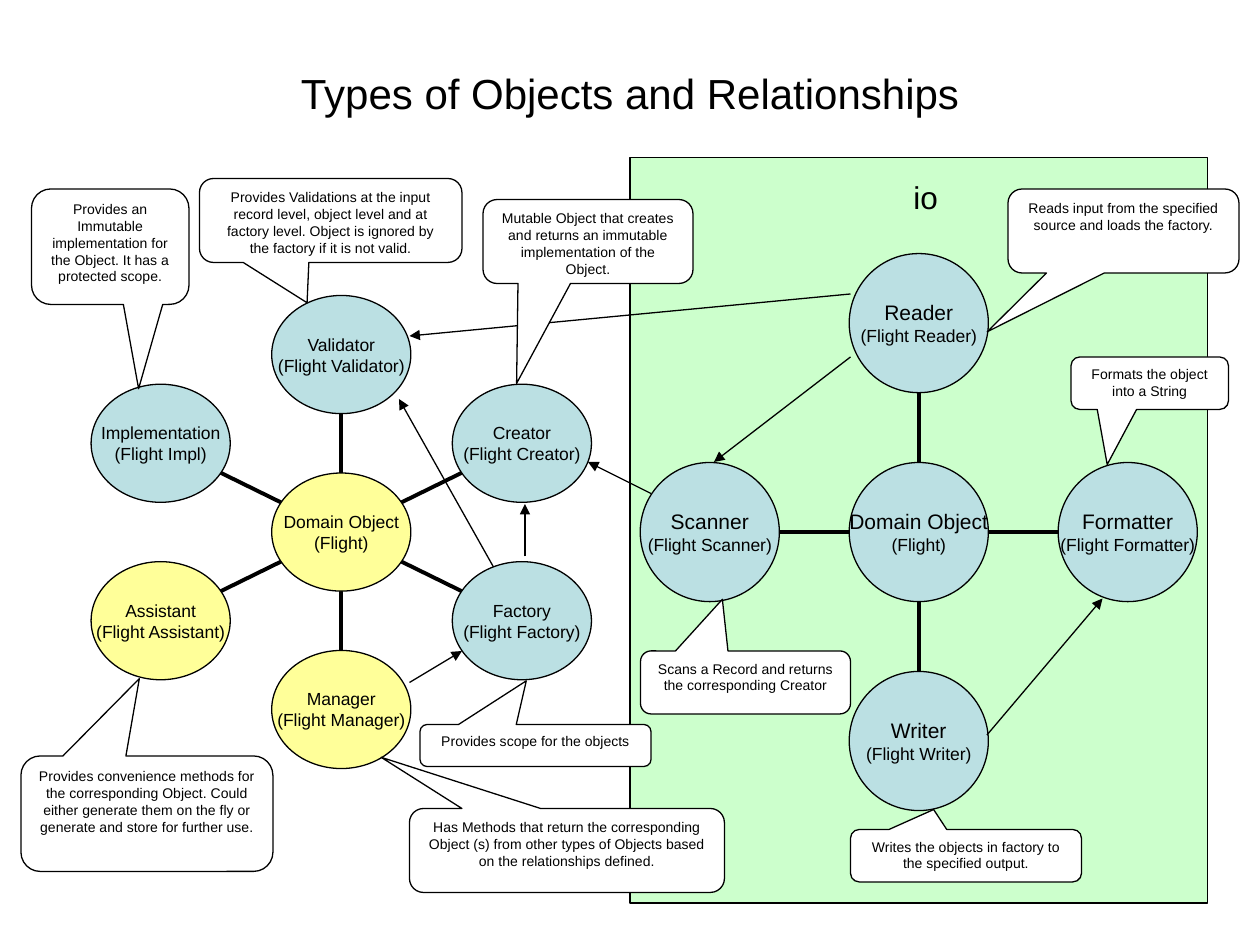
"""Build the slide of object types and their relationships on a grid of 120 columns by 90 rows."""
from lxml.etree import SubElement
from pptx import Presentation
from pptx.dml.color import RGBColor
from pptx.enum.shapes import MSO_CONNECTOR, MSO_SHAPE
from pptx.enum.text import MSO_ANCHOR, PP_ALIGN
from pptx.oxml.ns import qn
from pptx.util import Inches, Pt

CELL = Inches(1) / 12
BLACK, WHITE, GREEN, BLUE, YELLOW = "000000", "FFFFFF", "CCFFCC", "BBE0E3", "FFFF99"
CENTRED = {"alignment": PP_ALIGN.CENTER}
NODE_FRAME = {"vertical_anchor": MSO_ANCHOR.MIDDLE, "word_wrap": False,
              "margin_left": 0, "margin_right": 0, "margin_top": 0, "margin_bottom": 0}
CALLOUT_FRAME = {"vertical_anchor": MSO_ANCHOR.TOP, "word_wrap": True}

presentation = Presentation()
presentation.slide_width = int(120 * CELL)
presentation.slide_height = int(90 * CELL)
slide = presentation.slides.add_slide(presentation.slide_layouts[5])


def write(shape, lines, sizes, frame_format, paragraph_format):
    frame = shape.text_frame
    frame.text = "\n".join(lines)
    for name, value in frame_format.items():
        setattr(frame, name, value)
    for paragraph, size in zip(frame.paragraphs, sizes):
        for name, value in paragraph_format.items():
            setattr(paragraph, name, value)
        for name, value in {"name": "Arial", "size": Pt(size)}.items():
            setattr(paragraph.runs[0].font, name, value)
        paragraph.runs[0].font.color.rgb = RGBColor.from_string(BLACK)


def draw(box, kind=None, fill=None, width=0.75):
    lengths = [int(value * CELL) for value in box]
    if kind is None:
        shape = slide.shapes.add_connector(MSO_CONNECTOR.STRAIGHT, *lengths)
        SubElement(shape._element.spPr, qn("a:effectLst"))
    else:
        shape = slide.shapes.add_shape(kind, *lengths)
        shape.shadow.inherit = False
        shape.fill.solid()
        shape.fill.fore_color.rgb = RGBColor.from_string(fill)
    shape.line.width = Pt(width)
    shape.line.color.rgb = RGBColor.from_string(BLACK)
    return shape


title = slide.shapes.title
title_box = {"left": 6, "top": 3.6, "width": 108, "height": 10.4}
for name, value in title_box.items():
    setattr(title, name, int(value * CELL))
write(title, ["Types of Objects and Relationships"], [24],
      {"vertical_anchor": MSO_ANCHOR.MIDDLE, "word_wrap": True}, CENTRED)

draw((60, 15, 55, 71), MSO_SHAPE.RECTANGLE, GREEN)

wheels = [
    {"column": 32.5, "width": 13.25, "height": 11.25, "step": (17.2, 8.45), "sizes": (10, 10),
     "nodes": [("Implementation", "Impl", -1, -1, BLUE), ("Assistant", "Assistant", -1, 1, YELLOW),
               ("Manager", "Manager", 0, 2, YELLOW), ("Factory", "Factory", 1, 1, BLUE),
               ("Creator", "Creator", 1, -1, BLUE), ("Validator", "Validator", 0, -2, BLUE),
               ("Domain Object", "", 0, 0, YELLOW)]},
    {"column": 87.5, "width": 13.25, "height": 13.25, "step": (19.9, 19.9), "sizes": (12, 10),
     "nodes": [("Scanner", "Scanner", -1, 0, BLUE), ("Writer", "Writer", 0, 1, BLUE),
               ("Formatter", "Formatter", 1, 0, BLUE), ("Reader", "Reader", 0, -1, BLUE),
               ("Domain Object", "", 0, 0, BLUE)]},
]
hub_row = 50.67
for wheel in wheels:
    width, height, column = wheel["width"], wheel["height"], wheel["column"]
    for role, suffix, across, down, fill in wheel["nodes"]:
        x, y = across * wheel["step"][0], down * wheel["step"][1]
        if across or down:
            draw((column + x / 3, hub_row + y / 3, column + x * 2 / 3, hub_row + y * 2 / 3), width=2.25)
        node = draw((column + x - width / 2, hub_row + y - height / 2, width, height), MSO_SHAPE.OVAL, fill)
        write(node, [role, f"({' '.join(['Flight', suffix]).strip()})"], wheel["sizes"], NODE_FRAME, CENTRED)

arrows = [(81, 34, 68, 44), (94, 70, 105, 57), (62, 47, 56, 44), (81, 28, 39, 32),
          (47, 54, 38, 38), (50, 53, 50, 48), (39, 65, 44, 62)]
for ends in arrows:
    arrow = draw(ends)
    SubElement(arrow.line._get_or_add_ln(), qn("a:tailEnd"), type="triangle")

package_label = slide.shapes.add_textbox(*[int(value * CELL) for value in (85.8, 16.4, 4.7, 4.8)])
write(package_label, ["io"], [18], {"word_wrap": False}, {"alignment": PP_ALIGN.LEFT})

callouts = [
    ((39, 77, 30, 8), (-0.59, -1.11), "Has Methods that return the corresponding Object (s) from other "
     "types of Objects based on the relationships defined."),
    ((40, 69, 22, 4), (-0.04, -1.54), "Provides scope for the objects"),
    ((2, 72, 24, 11), (-0.03, -1.17), "Provides convenience methods for the corresponding Object. Could "
     "either generate them on the fly or generate and store for further use."),
    ((3, 18, 15, 11), (0.18, 1.23), "Provides an Immutable implementation for the Object. "
     "It has a protected scope."),
    ((19, 17, 25, 8), (-0.09, 0.98), "Provides Validations at the input record level, object level and at "
     "factory level. Object is ignored by the factory if it is not valid."),
    ((46, 19, 20, 8), (-0.34, 1.69), "Mutable Object that creates and returns an immutable "
     "implementation of the Object."),
    ((61, 62, 20, 6), (-0.11, -1.32), "Scans a Record and returns the corresponding Creator"),
    ((96, 18, 22, 8), (-0.59, 1.2), "Reads input from the specified source and loads the factory."),
    ((81, 79, 22, 5), (-0.14, -0.88), "Writes the objects in factory to the specified output."),
    ((102, 34, 15, 5), (-0.27, 1.55), "Formats the object into a String"),
]
for box, tip, text in callouts:
    callout = draw(box, MSO_SHAPE.ROUNDED_RECTANGULAR_CALLOUT, WHITE)
    for index, value in enumerate(tip):
        callout.adjustments[index] = value
    write(callout, [text], [8], CALLOUT_FRAME, CENTRED)

presentation.save("out.pptx")
